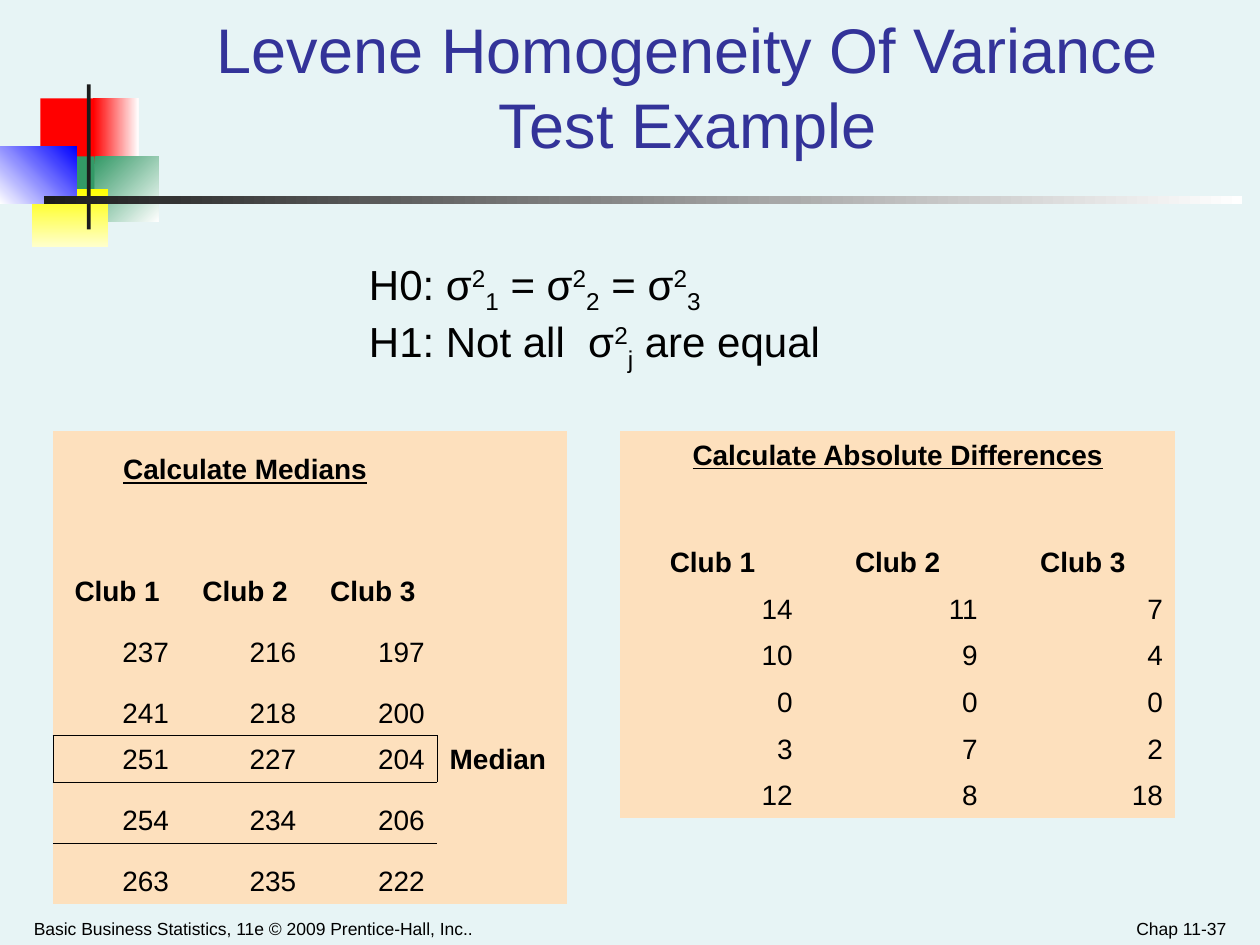
"""Build the Levene homogeneity of variance test example slide."""
from pptx import Presentation
from pptx.dml.color import RGBColor
from pptx.enum.shapes import MSO_SHAPE
from pptx.enum.text import MSO_ANCHOR as ANCHOR, MSO_AUTO_SIZE, PP_ALIGN as ALIGN
from pptx.oxml import parse_xml
from pptx.oxml.ns import nsdecls
from pptx.util import Inches, Pt


def rgb(value):
    """Turn a hex string into a colour."""
    return RGBColor.from_string(value)


def write(paragraph, text, size=16, color="000000", bold=False, underline=False,
          baseline=0, align=ALIGN.LEFT):
    """Add a formatted run to a paragraph."""
    paragraph.alignment = align
    run = paragraph.add_run()
    run.text = text
    font = run.font
    font.name, font.size, font.bold, font.underline = "Arial", Pt(size), bold, underline
    font.color.rgb = rgb(color)
    if baseline:
        run._r.get_or_add_rPr().set("baseline", str(baseline * 1000))


presentation = Presentation()
presentation.slide_width, presentation.slide_height = Inches(10), Inches(7.5)
slide = presentation.slides.add_slide(presentation.slide_layouts[5])
slide.background.fill.solid()
slide.background.fill.fore_color.rgb = rgb("E7F4F5")

decorations = [
    (0.32, 0.78, 0.48, 0.52, ["FF0000"], 0),
    (0.74, 0.78, 0.36, 0.52, ["FF0000", "FFFFFF"], 0),
    (0.75, 1.24, 0.51, 0.52, ["339966", "FFFFFF"], 315),
    (0.43, 1.24, 0.32, 0.52, ["339966"], 0),
    (0.25, 1.5, 0.61, 0.46, ["FFFF00", "FFFFCC"], 270),
    (0, 1.16, 0.61, 0.46, ["FFFFFF", "0000FF"], 45),
    (0.69, 0.67, 0.03, 1.15, ["1C1C1C"], 0),
    (0.35, 1.56, 9.51, 0.06, ["1C1C1C", "FFFFFF"], 0),
]
for left, top, width, height, colors, angle in decorations:
    shape = slide.shapes.add_shape(
        MSO_SHAPE.RECTANGLE, Inches(left), Inches(top), Inches(width), Inches(height))
    shape.shadow.inherit = False
    shape.line.fill.background()
    if len(colors) == 1:
        shape.fill.solid()
        shape.fill.fore_color.rgb = rgb(colors[0])
    else:
        shape.fill.gradient()
        shape.fill.gradient_angle = angle
        for stop, color in zip(shape.fill.gradient_stops, colors):
            stop.color.rgb = rgb(color)

title = slide.shapes.title
title.left, title.top, title.width, title.height = (
    Inches(1.42), Inches(0.25), Inches(8.07), Inches(1.08))
title.text_frame.vertical_anchor = ANCHOR.BOTTOM
title.text_frame.auto_size = MSO_AUTO_SIZE.NONE
write(title.text_frame.paragraphs[0], "Levene Homogeneity Of Variance Test Example",
      size=36, color="333399", align=ALIGN.CENTER)

footers = [
    (0.17, 5.08, "Basic Business Statistics, 11e © 2009 Prentice-Hall, Inc..", ALIGN.LEFT),
    (7.5, 2.33, "Chap 11-37", ALIGN.RIGHT),
]
for left, width, text, align in footers:
    footer = slide.shapes.add_textbox(Inches(left), Inches(7.15), Inches(width), Inches(0.35))
    footer.text_frame.word_wrap = True
    footer.text_frame.vertical_anchor = ANCHOR.BOTTOM
    write(footer.text_frame.paragraphs[0], text, size=10, align=align)

clubs = ["Club 1", "Club 2", "Club 3"]
medians = [
    ["Calculate Medians", "", "", ""],
    ["", "", "", ""],
    clubs + [""],
    ["237", "216", "197", ""],
    ["241", "218", "200", ""],
    ["251", "227", "204", "Median"],
    ["254", "234", "206", ""],
    ["263", "235", "222", ""],
]
differences = [
    ["Calculate Absolute Differences", "", ""],
    ["", "", ""],
    clubs,
    ["14", "11", "7"],
    ["10", "9", "4"],
    ["0", "0", "0"],
    ["3", "7", "2"],
    ["12", "8", "18"],
]
median_borders = {(5, 0): "LTB", (5, 1): "TB", (5, 2): "RTB", (5, 3): "L"}
median_borders.update({(4, column): "B" for column in range(3)})
median_borders.update({(6, column): "T" for column in range(3)})

tables = [
    (0.42, [1.02, 1.01, 1.02, 1.03], medians, median_borders),
    (4.92, [1.47, 1.47, 1.47], differences, {}),
]
for left, widths, rows, borders in tables:
    table = slide.shapes.add_table(
        len(rows), len(widths), Inches(left), Inches(3.42),
        Inches(sum(widths)), Inches(2.93)).table
    table.first_row = table.horz_banding = False
    table._tbl.tblPr[0].text = "{2D5ABB26-0587-4C30-8999-92F81FD0307C}"
    for column, width in zip(table.columns, widths):
        column.width = Inches(width)
    for row_index, values in enumerate(rows):
        table.rows[row_index].height = Inches(0.37)
        for column_index, text in enumerate(values):
            cell = table.cell(row_index, column_index)
            cell.vertical_anchor = ANCHOR.BOTTOM
            for side in borders.get((row_index, column_index), ""):
                cell._tc.get_or_add_tcPr().append(parse_xml(
                    f'<a:ln{side} {nsdecls("a")} w="5715"><a:solidFill>'
                    f'<a:srgbClr val="000000"/></a:solidFill></a:ln{side}>'))
            cell.fill.solid()
            cell.fill.fore_color.rgb = rgb("FDE0BD")
            paragraph = cell.text_frame.paragraphs[0]
            if text:
                heading = row_index < 3
                align = (ALIGN.CENTER if heading else
                         ALIGN.RIGHT if text.isdigit() else ALIGN.LEFT)
                write(paragraph, text, bold=not text.isdigit(),
                      underline=row_index == 0, align=align)
            else:
                paragraph._p.append(parse_xml(f'<a:endParaRPr {nsdecls("a")} sz="2300"/>'))
    table.cell(0, 0).merge(table.cell(0, 2))

hypotheses = [
    [("H0: σ", 0), ("2", 30), ("1", -25), (" = σ", 0), ("2", 30), ("2", -25),
     (" = σ", 0), ("2", 30), ("3", -25)],
    [("H1: Not all  σ", 0), ("2", 30), ("j", -25), (" are equal", 0)],
]
hypothesis_box = slide.shapes.add_textbox(Inches(2.33), Inches(2), Inches(5), Inches(1.01))
frame = hypothesis_box.text_frame
frame.word_wrap = True
frame.auto_size = MSO_AUTO_SIZE.SHAPE_TO_FIT_TEXT
for index, parts in enumerate(hypotheses):
    paragraph = frame.add_paragraph() if index else frame.paragraphs[0]
    paragraph.level = 1
    paragraph._p.get_or_add_pPr().set("marL", str(Inches(0.5)))
    for text, baseline in parts:
        write(paragraph, text, size=24, baseline=baseline)

presentation.save("out.pptx")
